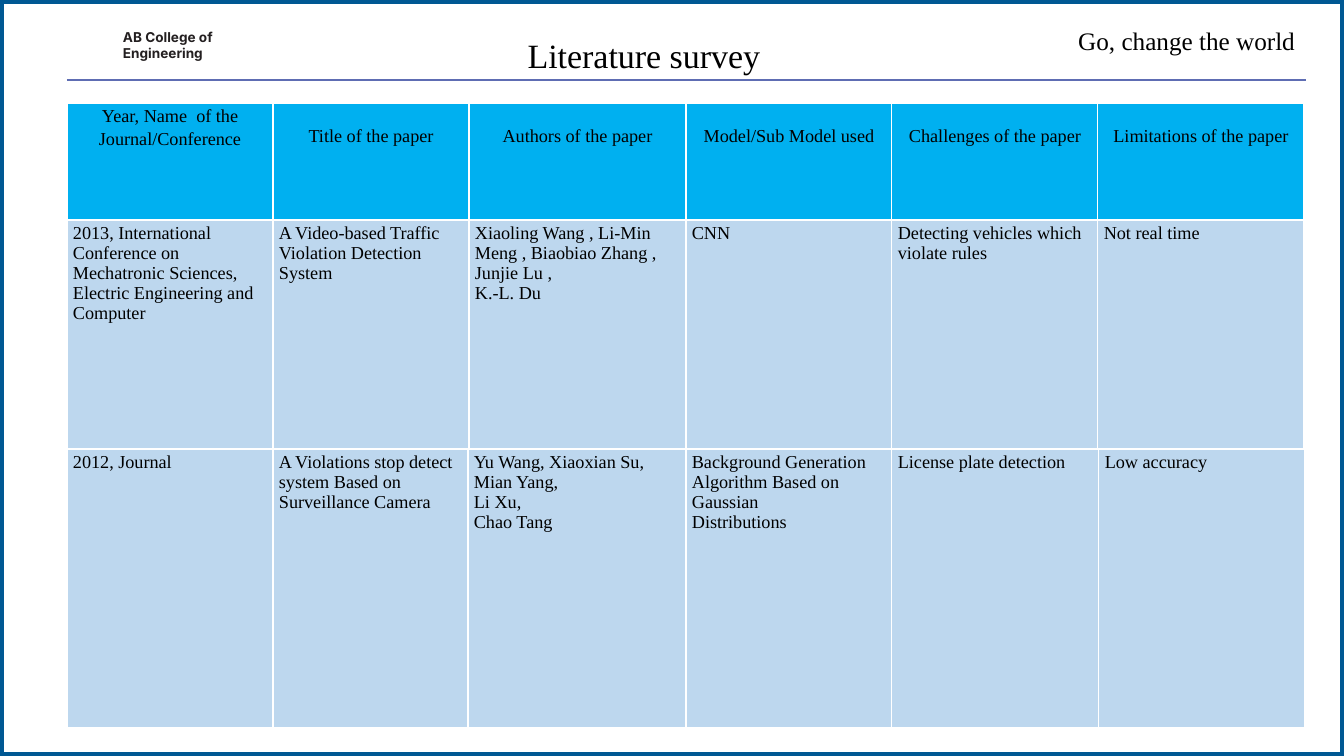
from lxml import etree
from pptx import Presentation
from pptx import util as u
from pptx.dml.color import RGBColor
from pptx.enum import shapes, text
from pptx.oxml import ns

SCALE = 914400 / 100.8
SLIDE_W, SLIDE_H = 1344, 756

WHITE = RGBColor(0xFF, 0xFF, 0xFF)
BLACK = RGBColor(0, 0, 0)
FRAME_BLUE = RGBColor(0x00, 0x58, 0x93)
RULE_BLUE = RGBColor(0x5E, 0x6D, 0xB3)
HEADING_BLUE = RGBColor(0x00, 0xB0, 0xF0)
ENTRY_BLUE = RGBColor(0xBD, 0xD7, 0xEE)
INK = RGBColor(0x23, 0x1F, 0x20)
SERIF = "Times New Roman"
BORDER_SIDES = ["lnL", "lnR", "lnT", "lnB"]

HEADINGS = ["Year, Name  of the Journal/Conference", "Title of the paper",
            "Authors of the paper", "Model/Sub Model used",
            "Challenges of the paper", "Limitations of the paper"]
ENTRY_2013 = [
    "2013, International Conference on Mechatronic Sciences, "
    "Electric Engineering and Computer",
    "A Video-based Traffic Violation Detection System",
    "Xiaoling Wang , Li-Min Meng , Biaobiao Zhang , Junjie Lu ,\nK.-L. Du",
    "CNN", "Detecting vehicles which violate rules", "Not real time"]
ENTRY_2012 = [
    "2012, Journal",
    "A Violations stop detect system Based on\nSurveillance Camera",
    "Yu Wang, Xiaoxian Su, Mian Yang,\nLi Xu,\nChao Tang",
    "Background Generation Algorithm Based on Gaussian\nDistributions",
    "License plate detection", "Low accuracy"]


def px(value):
    return u.Emu(round(value * SCALE))


def style(frame, size, font=SERIF, color=BLACK, bold=False,
          align=text.PP_ALIGN.LEFT, spacing=1.0):
    frame.word_wrap = True
    for paragraph in frame.paragraphs:
        paragraph.alignment = align
        paragraph.line_spacing = spacing
        for run in paragraph.runs:
            run.font.size = u.Pt(size)
            run.font.name = font
            run.font.bold = bold
            run.font.color.rgb = color


def draw_frame(slide, left, top, width, height):
    frame = slide.shapes.add_shape(shapes.MSO_SHAPE.RECTANGLE,
                                   *map(px, (left, top, width, height)))
    frame.shadow.inherit = False
    frame.fill.solid()
    frame.fill.fore_color.rgb = WHITE
    frame.line.color.rgb = FRAME_BLUE
    frame.line.width = u.Pt(6)
    # The frame lies behind the title placeholder
    slide.shapes._spTree.remove(frame._element)
    slide.shapes._spTree.insert(2, frame._element)


def draw_header(slide, left, top, width, height):
    # Rule under the header
    bottom = top + height
    rule = slide.shapes.add_connector(
        shapes.MSO_CONNECTOR.STRAIGHT,
        *map(px, (left, bottom, left + width, bottom)))
    rule.line.color.rgb = RULE_BLUE
    rule.line.width = u.Pt(1.24)
    etree.SubElement(rule._element.spPr, ns.qn("a:effectLst"))

    # College name
    college = slide.shapes.add_textbox(
        *map(px, (left + 56, top + 2, 110, 33))).text_frame
    college.text = "AB College of\nEngineering"
    college.margin_left = college.margin_right = college.margin_bottom = 0
    college.margin_top = px(1)
    style(college, 9.7, "Inter", INK, True, spacing=u.Pt(10.8))
    for line in college.paragraphs:
        line.space_before = u.Pt(0.8)

    # Motto
    motto = slide.shapes.add_textbox(
        *map(px, (left + width - 247, top, 246, 31))).text_frame
    motto.text = "Go, change the world"
    motto.vertical_anchor = text.MSO_ANCHOR.MIDDLE
    style(motto, 18, align=text.PP_ALIGN.RIGHT, spacing=0.9)

    # Slide title
    title = slide.shapes.title
    title.left, title.top, title.width, title.height = map(
        px, (left + 325, top + 2, 504, 51))
    title.text_frame.text = "Literature survey"
    title.text_frame.auto_size = text.MSO_AUTO_SIZE.NONE
    title.text_frame.vertical_anchor = text.MSO_ANCHOR.TOP
    style(title.text_frame, 24.3, align=text.PP_ALIGN.CENTER)


def add_borders(cell):
    properties = cell._tc.get_or_add_tcPr()
    for index, side in enumerate(BORDER_SIDES):
        border = etree.Element(ns.qn("a:" + side), w=str(u.Pt(1)))
        fill = etree.SubElement(border, ns.qn("a:solidFill"))
        etree.SubElement(fill, ns.qn("a:srgbClr"), val=str(WHITE))
        properties.insert(index, border)


def draw_row(slide, left, top, height, widths, entries, heading=False):
    table = slide.shapes.add_table(
        1, len(widths), *map(px, (left, top, sum(widths), height))).table
    table.first_row = table.horz_banding = False
    table.rows[0].height = px(height)
    for index, (width, entry) in enumerate(zip(widths, entries)):
        table.columns[index].width = px(width)
        cell = table.cell(0, index)
        cell.text_frame.text = entry
        cell.fill.solid()
        cell.fill.fore_color.rgb = HEADING_BLUE if heading else ENTRY_BLUE
        cell.margin_left = cell.margin_right = px(5 if heading else 6)
        cell.margin_top = cell.margin_bottom = px(0 if heading else 3)
        if heading:
            # One-line headings start a line lower than the first
            cell.margin_top = px(20 if index else 0)
            style(cell.text_frame, 13, align=text.PP_ALIGN.CENTER, spacing=1.15)
        else:
            style(cell.text_frame, 13)
        add_borders(cell)


def draw_survey(slide, left, top):
    widths = [206, 196, 217, 206, 206, 206]
    last_widths = [206, 195, 218, 206, 207, 206]
    draw_row(slide, left, top + 117, 229, widths, ENTRY_2013)
    draw_row(slide, left, top, 117, widths, HEADINGS, heading=True)
    draw_row(slide, left, top + 346, 279, last_widths, ENTRY_2012)


deck = Presentation()
deck.slide_width, deck.slide_height = px(SLIDE_W), px(SLIDE_H)
survey_slide = deck.slides.add_slide(deck.slide_layouts[5])
draw_frame(survey_slide, 0, 0, SLIDE_W, SLIDE_H)
draw_header(survey_slide, 67, 27, 1239, 53)
draw_survey(survey_slide, 67, 103)
deck.save("out.pptx")
